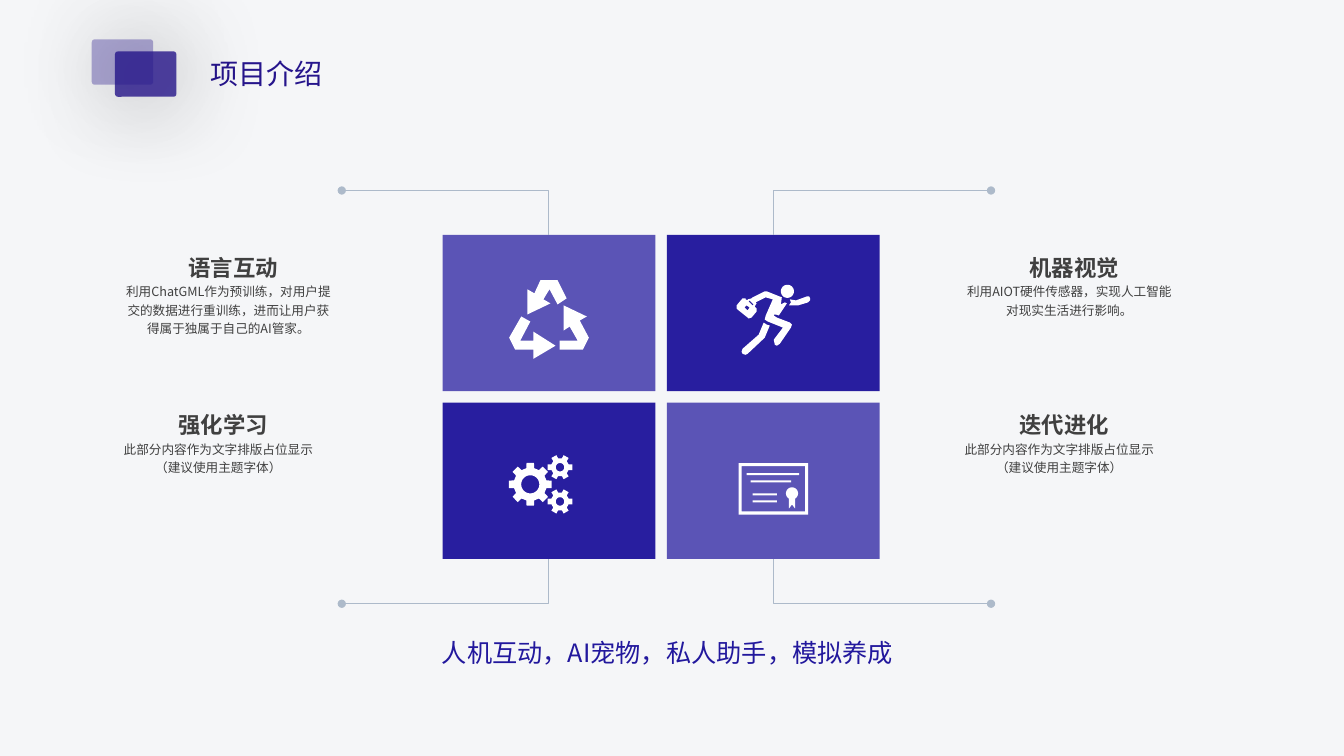
from dataclasses import dataclass
from math import cos, radians, sin

from lxml.etree import SubElement
from pptx import Presentation
from pptx.dml.color import RGBColor
from pptx.enum.shapes import MSO_CONNECTOR as Connector, MSO_SHAPE as Shape
from pptx.enum.text import MSO_ANCHOR as Anchor, MSO_AUTO_SIZE as AutoSize, PP_ALIGN as Align
from pptx.oxml.ns import qn
from pptx.util import Inches, Pt


@dataclass(frozen=True)
class Theme:
    font: str = "Noto Sans CJK SC"
    page: str = "F5F6F8"
    title: str = "26158C"
    dark: str = "22189D"
    light: str = "5B54B6"
    line: str = "ADBACA"
    text: str = "404040"
    icon: str = "FFFFFF"
    title_size: int = 20
    summary_size: int = 18
    heading_size: int = 16
    body_size: int = 9


@dataclass(frozen=True)
class Box:
    """A region in inches."""
    x: float
    y: float
    w: float
    h: float

    def inside(self, dx, dy, w, h):
        return Box(self.x + dx, self.y + dy, w, h)

    def emu(self):
        return [Inches(length) for length in (self.x, self.y, self.w, self.h)]


THEME = Theme()
PAGE = Box(0, 0, 13.33, 7.5)
PLACEHOLDER_TEXT = "此部分内容作为文字排版占位显示\n（建议使用主题字体）"


# Shared formatting
def paint(shape, color, alpha=100):
    shape.shadow.inherit = False
    shape.fill.solid()
    shape.fill.fore_color.rgb = RGBColor.from_string(color)
    shape.line.fill.background()
    if alpha < 100:
        fill = shape.element.spPr.find(".//" + qn("a:srgbClr"))
        SubElement(fill, qn("a:alpha"), val=str(alpha * 1000))


def write(shape, text, size, color, align=Align.CENTER, bold=False,
          anchor=Anchor.TOP, spacing=1.0, margins=(0, 0)):
    frame = shape.text_frame
    frame.word_wrap = True
    frame.auto_size = AutoSize.NONE
    frame.vertical_anchor = anchor
    frame.margin_left = frame.margin_right = Inches(margins[0])
    frame.margin_top = frame.margin_bottom = Inches(margins[1])
    para = frame.paragraphs[0]
    para.text = text
    para.alignment = align
    para.line_spacing = spacing
    para.font.name = THEME.font
    para.font.size = Pt(size)
    para.font.bold = bold
    para.font.color.rgb = RGBColor.from_string(color)
    for props in para._p.iter(qn("a:defRPr")):
        SubElement(props, qn("a:ea"), typeface=THEME.font)


# Icon outlines, in hundredths of an inch
def arc(cx, cy, radius, start=0, sweep=360, steps=32):
    angles = [radians(start + sweep * step / steps) for step in range(steps + 1)]
    return [(cx + radius * cos(a), cy + radius * sin(a)) for a in angles]


def bar(x, y, w, h):
    return [(x, y), (x + w, y), (x + w, y + h), (x, y + h)]


def gear(cx, cy, outer, root, hole, teeth):
    pitch = 360 / teeth
    corners = [(-0.3, root), (-0.22, outer), (0.22, outer), (0.3, root)]
    rim = [(cx + r * cos(a), cy + r * sin(a))
           for tooth in range(teeth) for share, r in corners
           for a in [radians(pitch * (tooth + share))]]
    return [rim, arc(cx, cy, hole)]


RECYCLE = [
    [(48, 0), (31, 0), (25, 13), (18, 9), (18, 34), (41, 23), (34, 19), (40, 9), (48, 24), (57, 18)],
    [(24, 60), (11, 60), (21, 41), (12, 36), (0, 57), (6, 69), (24, 69), (24, 78), (46, 65), (24, 51)],
    [(70, 40), (77, 36), (54, 25), (54, 50), (60, 46), (68, 60), (50, 60), (50, 69), (73, 69), (79, 57)],
]
RUNNER = [
    arc(51.5, 7, 6.5),
    # Front arm
    [(74, 14), (73, 12), (71, 12), (60, 16), (54, 15), (55, 18), (53, 21), (60, 21), (62, 21), (72, 18), (74, 16)],
    # Body with briefcase, then its two gaps
    [(54, 38), (41, 33), (38, 31), (38, 30), (40, 30), (43, 31), (51, 19), (49, 18), (45, 20), (46, 13),
     (41, 11), (31, 7), (29, 7), (17, 13), (16, 14), (12, 15), (12, 16), (10, 15), (10, 14), (7, 14),
     (1, 21), (1, 24), (2, 25), (12, 33), (13, 34), (16, 33), (21, 27), (21, 24), (19, 22), (21, 19),
     (20, 18), (30, 13), (37, 15), (30, 31), (29, 35), (32, 37), (47, 43), (38, 55), (39, 60), (41, 61),
     (44, 59), (55, 43), (56, 40)],
    [(18, 20), (17, 21), (13, 17), (14, 16), (15, 17), (17, 19)],
    [(12, 26), (9, 23), (11, 21), (14, 23)],
    # Back leg
    [(28, 38), (23, 50), (7, 64), (6, 67), (7, 69), (10, 70), (12, 69), (28, 54), (29, 53), (34, 41), (31, 40)],
]
GEARS = gear(21, 29, 21.5, 16.5, 9, 8) + [
    ring for cy in (12, 46) for ring in gear(50.5, cy, 12.5, 9, 4.2, 6)]
CERTIFICATE = [
    bar(0, 0, 69, 51), bar(3, 3, 63, 45),
    bar(8, 10, 52, 2), bar(12, 17, 40, 2), bar(14, 30, 24, 2), bar(14, 37, 24, 2),
    arc(53, 30, 6, 120, 300) + [(56, 45), (53, 41), (50, 45)],
]


def draw_icon(slide, card, dx, dy, outlines):
    def place(points):
        return [(Inches(card.x + dx + x / 100), Inches(card.y + dy + y / 100)) for x, y in points]

    first, *others = map(place, outlines)
    builder = slide.shapes.build_freeform(*first[0], scale=1.0)
    builder.add_line_segments(first[1:], close=True)
    for points in others:
        builder.move_to(*points[0])
        builder.add_line_segments(points[1:], close=True)
    paint(builder.convert_to_shape(), THEME.icon)


# Header: two overlapping tiles and the title
def draw_header(slide, box):
    for dx, dy, alpha in ((0.23, 0.12, 80), (0, 0, 35)):
        tile = slide.shapes.add_shape(Shape.ROUNDED_RECTANGLE, *box.inside(dx, dy, 0.61, 0.45).emu())
        tile.adjustments[0] = 0.066
        paint(tile, THEME.title, alpha)
        effects = tile.element.spPr.find(qn("a:effectLst"))
        shadow = SubElement(effects, qn("a:outerShdw"), blurRad=str(Pt(70)), dist=str(Pt(3)),
                            dir="2700000", algn="ctr", rotWithShape="0")
        color = SubElement(shadow, qn("a:srgbClr"), val="000000")
        SubElement(color, qn("a:alpha"), val="40000")
    title = slide.shapes.title
    title.left, title.top, title.width, title.height = box.inside(1.08, 0.12, 3.15, 0.44).emu()
    write(title, "项目介绍", THEME.title_size, THEME.title, Align.LEFT, margins=(0.1, 0.05))


# Elbow line from a dot at the side to a card's edge
def draw_elbow(slide, dot, edge):
    ends = [Inches(length) for length in (*dot, *edge)]
    elbow = slide.shapes.add_connector(Connector.ELBOW, *ends)
    elbow.line.color.rgb = RGBColor.from_string(THEME.line)
    elbow.line.width = Pt(0.75)
    props = elbow.element.spPr
    props.find(qn("a:prstGeom")).set("prst", "bentConnector2")
    SubElement(props.find(qn("a:ln")), qn("a:headEnd"), type="oval")
    SubElement(props, qn("a:effectLst"))


# Two by two grid of icon cards
def draw_cards(slide, box):
    icons = [[(0.66, 0.45, RECYCLE), (0.68, 0.49, RUNNER)],
             [(0.66, 0.52, GEARS), (0.71, 0.6, CERTIFICATE)]]
    width, height, gap = 2.11, 1.55, 0.115
    dots_x = (box.x - 1, box.x + box.w + 1.11)
    for row in range(2):
        edge_y = box.y + row * box.h
        dot_y = edge_y + (0.44 if row else -0.44)
        for col in range(2):
            card = box.inside(col * (width + gap), row * (height + gap), width, height)
            tile = slide.shapes.add_shape(Shape.RECTANGLE, *card.emu())
            if row == col:
                paint(tile, THEME.light)
            else:
                paint(tile, THEME.dark, 97)
            draw_elbow(slide, (dots_x[col], dot_y), (card.x + width / 2, edge_y))
            draw_icon(slide, card, *icons[row][col])


# Heading with a short description
def draw_feature(slide, box, heading, body):
    top = slide.shapes.add_textbox(*box.inside(0, 0, box.w, 0.46).emu())
    write(top, heading, THEME.heading_size, THEME.text, bold=True, anchor=Anchor.BOTTOM)
    below = slide.shapes.add_textbox(*box.inside(0, 0.46, box.w - 0.1, box.h - 0.46).emu())
    write(below, body, THEME.body_size, THEME.text, spacing=1.2)


def draw_features(slide, box):
    features = [
        [("语言互动", "利用ChatGML作为预训练，对用户提交的数据进行重训练，进而让用户获得属于独属于自己的AI管家。"),
         ("机器视觉", "利用AIOT硬件传感器，实现人工智能对现实生活进行影响。")],
        [("强化学习", PLACEHOLDER_TEXT), ("迭代进化", PLACEHOLDER_TEXT)],
    ]
    for row, pair in enumerate(features):
        for col, (heading, body) in enumerate(pair):
            part = box.inside(col * 8.34 - row * 0.1, row * 1.56, 2.17, 1.09)
            draw_feature(slide, part, heading, body)


def draw_summary(slide, box):
    summary = slide.shapes.add_textbox(*box.emu())
    write(summary, "人机互动，AI宠物，私人助手，模拟养成", THEME.summary_size, THEME.dark, margins=(0.1, 0.05))


def main():
    deck = Presentation()
    deck.slide_width, deck.slide_height = Inches(PAGE.w), Inches(PAGE.h)
    slide = deck.slides.add_slide(deck.slide_layouts[5])
    slide.background.fill.solid()
    slide.background.fill.fore_color.rgb = RGBColor.from_string(THEME.page)
    draw_header(slide, PAGE.inside(0.91, 0.39, 4.23, 0.57))
    draw_cards(slide, PAGE.inside(4.39, 2.33, 4.33, 3.22))
    draw_features(slide, PAGE.inside(1.23, 2.33, 10.51, 2.65))
    draw_summary(slide, PAGE.inside(2.89, 6.27, 7.46, 0.46))
    deck.save("out.pptx")


if __name__ == "__main__":
    main()
